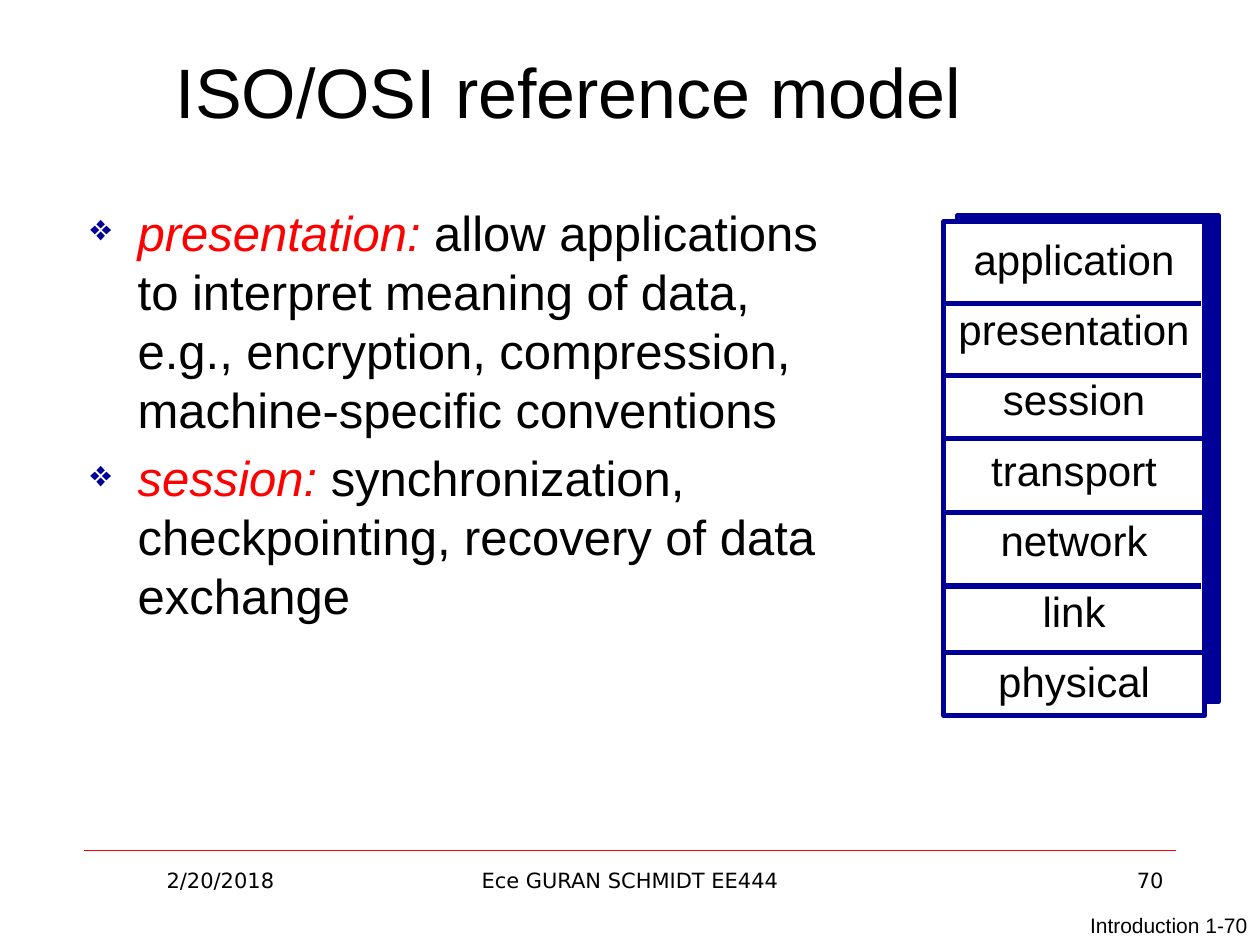
from dataclasses import dataclass

from lxml import etree
from pptx import Presentation
from pptx.dml.color import RGBColor
from pptx.enum.shapes import MSO_CONNECTOR, MSO_SHAPE
from pptx.enum.text import MSO_ANCHOR, PP_ALIGN
from pptx.oxml.ns import qn
from pptx.util import Pt

BLACK = RGBColor(0, 0, 0)
WHITE = RGBColor(255, 255, 255)
RED = RGBColor(255, 0, 0)
NAVY = RGBColor(0, 0, 153)
LEFT, MID, RIGHT = PP_ALIGN.LEFT, PP_ALIGN.CENTER, PP_ALIGN.RIGHT
TOP, CENTRE = MSO_ANCHOR.TOP, MSO_ANCHOR.MIDDLE
RECT = MSO_SHAPE.RECTANGLE
LINE = MSO_CONNECTOR.STRAIGHT
SANS, FOOT = "Arial", "DejaVu Sans"


@dataclass
class Box:
    x: float
    y: float
    w: float
    h: float

    def place(self) -> tuple:
        return Pt(self.x), Pt(self.y), Pt(self.w), Pt(self.h)


@dataclass
class Label:
    text: str
    box: Box
    size: float
    face: str = SANS
    align: PP_ALIGN = MID
    anchor: MSO_ANCHOR = TOP


@dataclass
class Item:
    term: str
    rest: str


LABELS = [
    Label("ISO/OSI reference model", Box(18.72, 6.5, 612, 90), 40, anchor=CENTRE),
    Label("2/20/2018", Box(48, 492, 156, 37.5), 12, FOOT),
    Label("Ece GURAN SCHMIDT EE444", Box(246, 492, 228, 37.5), 12, FOOT),
    Label("70", Box(516, 492, 156, 37.5), 12, FOOT, RIGHT),
    Label("Introduction 1-70", Box(605.5, 517.7, 114.5, 22.3), 12, align=RIGHT),
]
ITEMS = [
    Item("presentation:", " allow applications to interpret meaning of data, "
         "e.g., encryption, compression, machine-specific conventions"),
    Item("session:", " synchronization, checkpointing, recovery of data exchange"),
]
LAYERS = ["application", "presentation", "session", "transport",
          "network", "link", "physical"]
RULES = [(537.8, 173.5), (537.8, 214.5), (538.6, 250.5),
         (538.6, 293), (537.8, 334.8), (538.6, 373)]
RULE_W = 148.5


def style(font, size: float, color: RGBColor, face: str = SANS) -> None:
    font.size = Pt(size)
    font.name = face
    font.color.rgb = color


def add_frame(slide, box: Box):
    frame = slide.shapes.add_textbox(*box.place()).text_frame
    frame.word_wrap = True
    return frame


def add_label(slide, label: Label) -> None:
    frame = add_frame(slide, label.box)
    frame.vertical_anchor = label.anchor
    frame.text = label.text
    para = frame.paragraphs[0]
    para.alignment = label.align
    style(para.runs[0].font, label.size, BLACK, label.face)


def add_rule(slide, x: float, y: float, w: float, color: RGBColor, thick: float) -> None:
    rule = slide.shapes.add_connector(LINE, Pt(x), Pt(y), Pt(x + w), Pt(y))
    rule.line.color.rgb = color
    rule.line.width = Pt(thick)
    etree.SubElement(rule._element.spPr, qn("a:effectLst"))


def add_panel(slide, box: Box, fill: RGBColor) -> None:
    panel = slide.shapes.add_shape(RECT, *box.place())
    panel.shadow.inherit = False
    panel.fill.solid()
    panel.fill.fore_color.rgb = fill
    panel.line.color.rgb = NAVY
    panel.line.width = Pt(3)


def add_bullet(para) -> None:
    props = para._p.get_or_add_pPr()
    props.set("marL", str(Pt(27)))
    props.set("indent", str(-Pt(27)))
    tint = etree.SubElement(props, qn("a:buClr"))
    etree.SubElement(tint, qn("a:srgbClr"), val=str(NAVY))
    etree.SubElement(props, qn("a:buSzPct"), val="75000")
    etree.SubElement(props, qn("a:buChar"), char="❖")


def add_items(slide, box: Box, items: list[Item]) -> None:
    frame = add_frame(slide, box)
    for rank, item in enumerate(items):
        para = frame.add_paragraph() if rank else frame.paragraphs[0]
        add_bullet(para)
        para.alignment = LEFT
        if rank:
            para.space_before = Pt(5.6)
        for text, color, slant in ((item.term, RED, True), (item.rest, BLACK, False)):
            run = para.add_run()
            run.text = text
            style(run.font, 28, color)
            run.font.italic = slant


def add_layers(slide, box: Box, names: list[str]) -> None:
    frame = add_frame(slide, box)
    frame.text = "\n".join(names)
    for rank, para in enumerate(frame.paragraphs):
        para.alignment = MID
        para.line_spacing = 0.7
        if rank:
            para.space_before = Pt(20.1)
        style(para.runs[0].font, 24, BLACK)


def main() -> None:
    deck = Presentation()
    deck.slide_width, deck.slide_height = Pt(720), Pt(540)
    slide = deck.slides.add_slide(deck.slide_layouts[6])
    add_rule(slide, 48, 486, 624, RED, 0.25)
    for label in LABELS:
        add_label(slide, label)
    add_items(slide, Box(44.6, 112.3, 450, 365.8), ITEMS)
    add_panel(slide, Box(547.2, 123.1, 149, 277.9), NAVY)
    add_panel(slide, Box(539.3, 126.7, 149, 282.2), WHITE)
    add_layers(slide, Box(535.7, 137.5, 156.2, 268.6), LAYERS)
    for x, y in RULES:
        add_rule(slide, x, y, RULE_W, NAVY, 3)
    deck.save("out.pptx")


if __name__ == "__main__":
    main()
